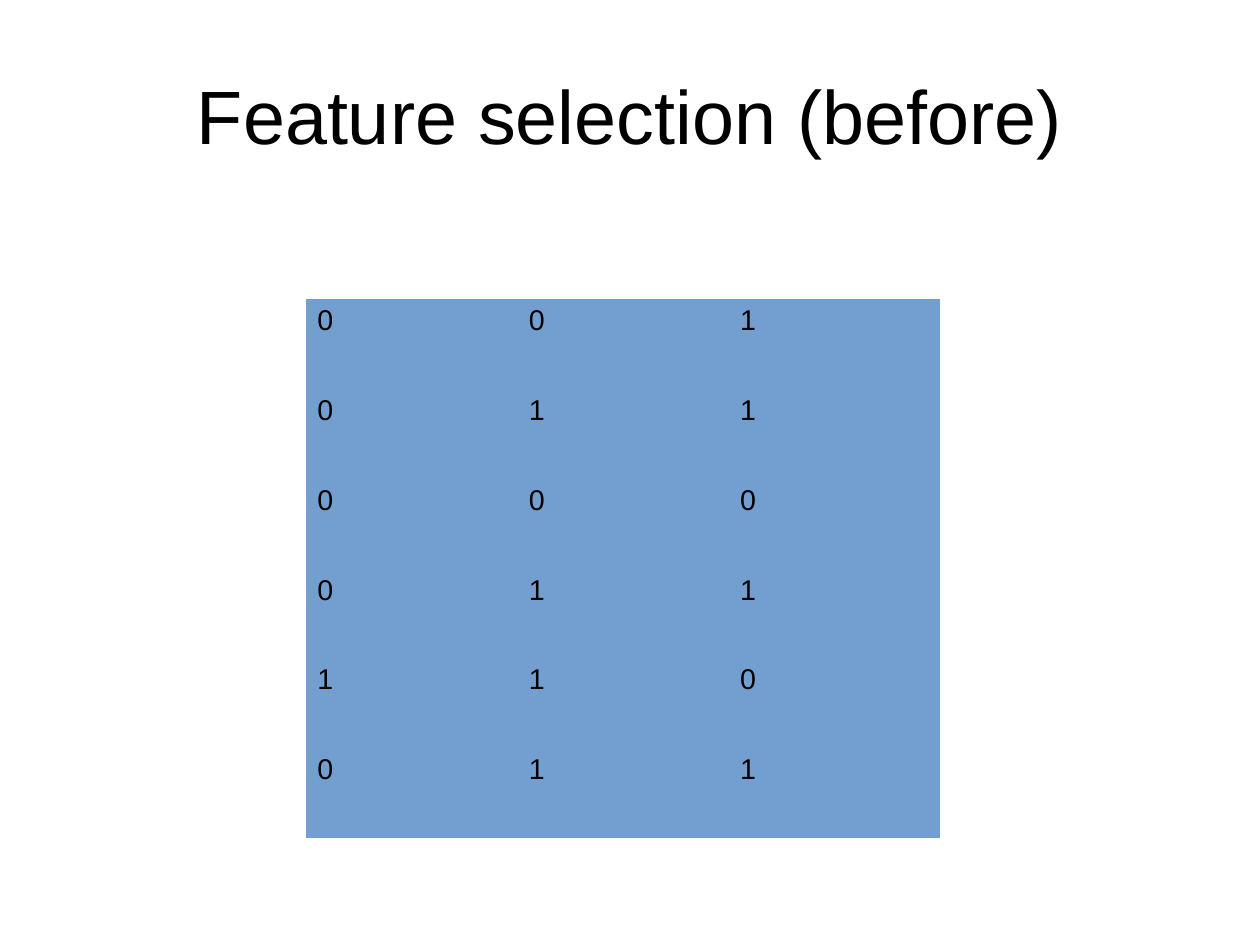
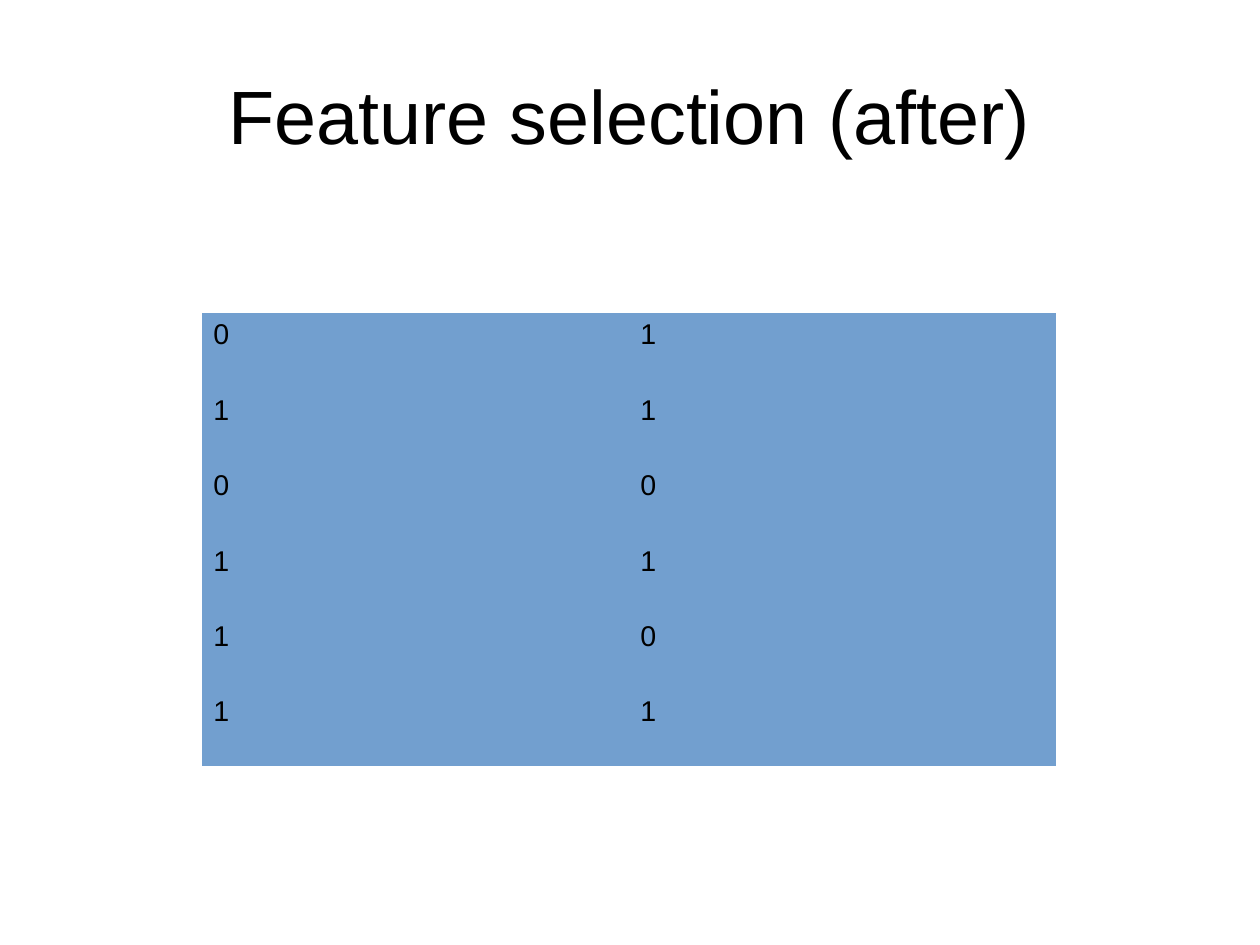
from dataclasses import dataclass

from lxml import etree
from pptx import Presentation
from pptx.dml.color import RGBColor
from pptx.enum.text import MSO_ANCHOR, PP_ALIGN
from pptx.oxml.ns import qn
from pptx.slide import Slide
from pptx.table import _Cell
from pptx.text.text import TextFrame
from pptx.util import Emu, Pt

PX = 8000
MIDDLE = MSO_ANCHOR.MIDDLE
CENTER = PP_ALIGN.CENTER
SIDES = ("a:lnL", "a:lnR", "a:lnT", "a:lnB")


@dataclass(frozen=True)
class Theme:
    face: str = "Arial"
    ink: RGBColor = RGBColor(0x00, 0x00, 0x00)
    cell: RGBColor = RGBColor(0x72, 0x9F, 0xCF)
    title: float = 47.6
    body: float = 18


@dataclass(frozen=True)
class Box:
    left: int
    top: int
    width: int
    height: int

    def emu(self) -> tuple[Emu, Emu, Emu, Emu]:
        return px(self.left), px(self.top), px(self.width), px(self.height)


@dataclass(frozen=True)
class Page:
    title: str
    box: Box
    rows: tuple[str, ...]


THEME = Theme()
WIDTH, HEIGHT = 1260, 945
HEAD = Box(63, 36, 1134, 156)
PAGES = (
    Page("Feature selection (before)", Box(306, 299, 634, 539),
         ("001", "011", "000", "011", "110", "011")),
    Page("Feature selection (after)", Box(202, 313, 854, 453),
         ("01", "11", "00", "11", "10", "11")),
)


def px(count: int) -> Emu:
    return Emu(count * PX)


def write(frame: TextFrame, text: str, size: float) -> None:
    frame.text = text
    for run in frame.paragraphs[0].runs:
        run.font.name = THEME.face
        run.font.size = Pt(size)
        run.font.bold = False
        run.font.color.rgb = THEME.ink


def add_title(slide: Slide, text: str) -> None:
    frame = slide.shapes.add_textbox(*HEAD.emu()).text_frame
    frame.word_wrap = True
    frame.vertical_anchor = MIDDLE
    frame.margin_left = frame.margin_right = 0
    frame.margin_top = frame.margin_bottom = 0
    write(frame, text, THEME.title)
    frame.paragraphs[0].alignment = CENTER


def style_cell(cell: _Cell, text: str) -> None:
    write(cell.text_frame, text, THEME.body)
    props = cell._tc.get_or_add_tcPr()
    for side in SIDES:
        line = etree.SubElement(props, qn(side), w="0")
        etree.SubElement(line, qn("a:noFill"))
    cell.fill.solid()
    cell.fill.fore_color.rgb = THEME.cell


def add_grid(slide: Slide, box: Box, rows: tuple[str, ...]) -> None:
    table = slide.shapes.add_table(len(rows), len(rows[0]), *box.emu()).table
    table.first_row = False
    table.horz_banding = False
    for row, text in enumerate(rows):
        for col, digit in enumerate(text):
            style_cell(table.cell(row, col), digit)


def main() -> None:
    deck = Presentation()
    deck.slide_width, deck.slide_height = px(WIDTH), px(HEIGHT)
    blank = deck.slide_layouts[6]
    for page in PAGES:
        slide = deck.slides.add_slide(blank)
        add_title(slide, page.title)
        add_grid(slide, page.box, page.rows)
    deck.save("out.pptx")


if __name__ == "__main__":
    main()
